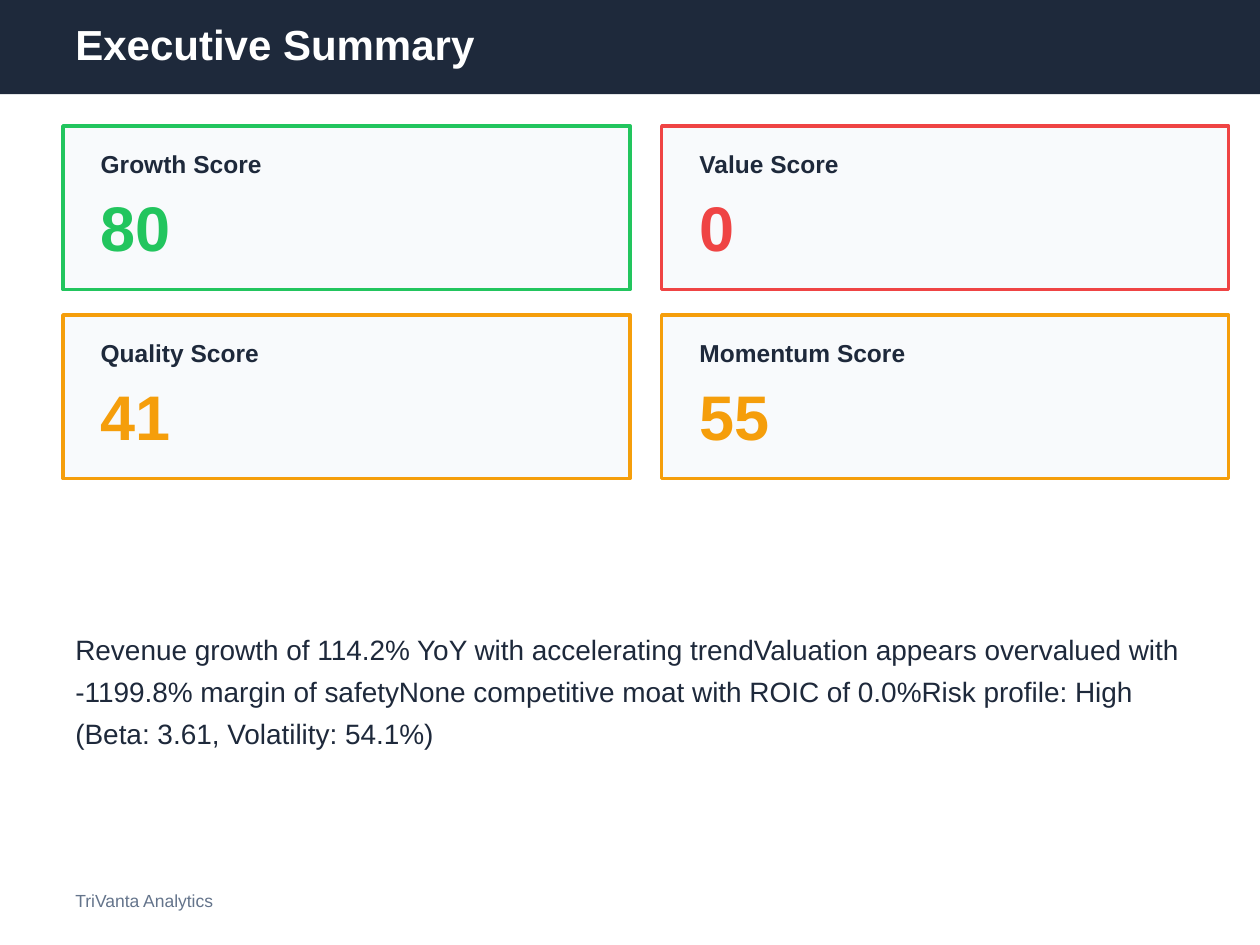
from pptx import Presentation
from pptx.dml.color import RGBColor
from pptx.enum.shapes import MSO_SHAPE
from pptx.enum.text import MSO_ANCHOR
from pptx.util import Cm, Pt

NAVY = RGBColor(0x1E, 0x29, 0x3B)
WHITE = RGBColor(0xFF, 0xFF, 0xFF)
SLATE = RGBColor(0x64, 0x74, 0x8B)
PALE = RGBColor(0xF8, 0xFA, 0xFC)
GREEN = RGBColor(0x22, 0xC5, 0x5E)
RED = RGBColor(0xEF, 0x44, 0x44)
AMBER = RGBColor(0xF5, 0x9E, 0x0B)

TITLE = "Executive Summary"
SCORES = [
    ("Growth Score", "80", GREEN),
    ("Value Score", "0", RED),
    ("Quality Score", "41", AMBER),
    ("Momentum Score", "55", AMBER),
]
SUMMARY = (
    "Revenue growth of 114.2% YoY with accelerating trend"
    "Valuation appears overvalued with -1199.8% margin of safety"
    "None competitive moat with ROIC of 0.0%"
    "Risk profile: High (Beta: 3.61, Volatility: 54.1%)"
)
FOOTER = "TriVanta Analytics"

# All measures in centimetres
PAGE_WIDTH, PAGE_HEIGHT = 25.4, 19.05
MARGIN, TEXT_WIDTH = 1.27, 22.86
COLUMNS = 2
CARDS_TOP = 2.54
CARD_WIDTH, CARD_HEIGHT = 11.43, 3.3
COLUMN_GAP, ROW_GAP = 0.64, 0.51
CARD_PADDING = 0.51


def add_rectangle(page, left, top, width, height, fill, border=None):
    box = page.shapes.add_shape(
        MSO_SHAPE.RECTANGLE, Cm(left), Cm(top), Cm(width), Cm(height))
    box.shadow.inherit = False
    box.fill.solid()
    box.fill.fore_color.rgb = fill
    if border is None:
        box.line.fill.background()
    else:
        box.line.color.rgb = border
        box.line.width = Pt(2)


def add_text(page, text, left, top, width, height, size, color,
             bold=False, line_spacing=None):
    frame = page.shapes.add_textbox(
        Cm(left), Cm(top), Cm(width), Cm(height)).text_frame
    frame.word_wrap = True
    frame.vertical_anchor = MSO_ANCHOR.MIDDLE
    para = frame.paragraphs[0]
    if line_spacing:
        para.line_spacing = Pt(line_spacing)
    span = para.add_run()
    span.text = text
    span.font.name = "Arial"
    span.font.size = Pt(size)
    span.font.bold = bold
    span.font.color.rgb = color


def add_score_card(page, left, top, label, score, color):
    add_rectangle(page, left, top, CARD_WIDTH, CARD_HEIGHT, PALE, color)
    text_left = left + CARD_PADDING
    text_width = CARD_WIDTH - 2 * CARD_PADDING
    add_text(page, label, text_left, top + 0.25, text_width, 1.02, 14, NAVY, bold=True)
    add_text(page, score, text_left, top + 1.27, text_width, 1.52, 36, color, bold=True)


def main():
    deck = Presentation()
    deck.slide_width, deck.slide_height = Cm(PAGE_WIDTH), Cm(PAGE_HEIGHT)
    page = deck.slides.add_slide(deck.slide_layouts[6])

    add_rectangle(page, 0, 0, PAGE_WIDTH, 1.9, NAVY)
    add_text(page, FOOTER, MARGIN, 17.78, 5.08, 0.76, 10, SLATE)
    add_text(page, TITLE, MARGIN, 0.25, TEXT_WIDTH, 1.27, 24, WHITE, bold=True)

    for index, (label, score, color) in enumerate(SCORES):
        row, column = divmod(index, COLUMNS)
        left = MARGIN + column * (CARD_WIDTH + COLUMN_GAP)
        top = CARDS_TOP + row * (CARD_HEIGHT + ROW_GAP)
        add_score_card(page, left, top, label, score, color)

    add_text(page, SUMMARY, MARGIN, 10.67, TEXT_WIDTH, 6.35, 16, NAVY, line_spacing=24)
    deck.save("out.pptx")


if __name__ == "__main__":
    main()
